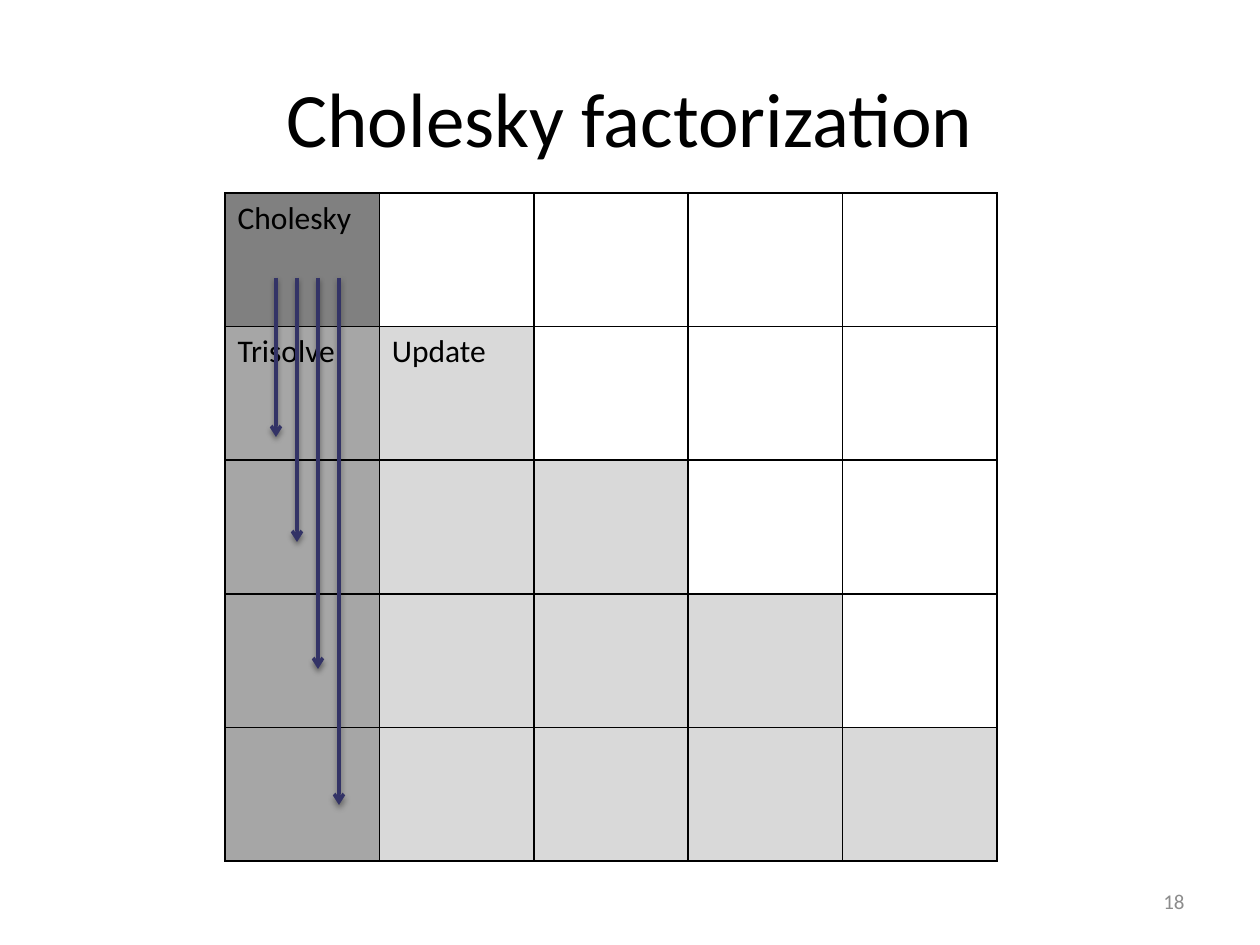
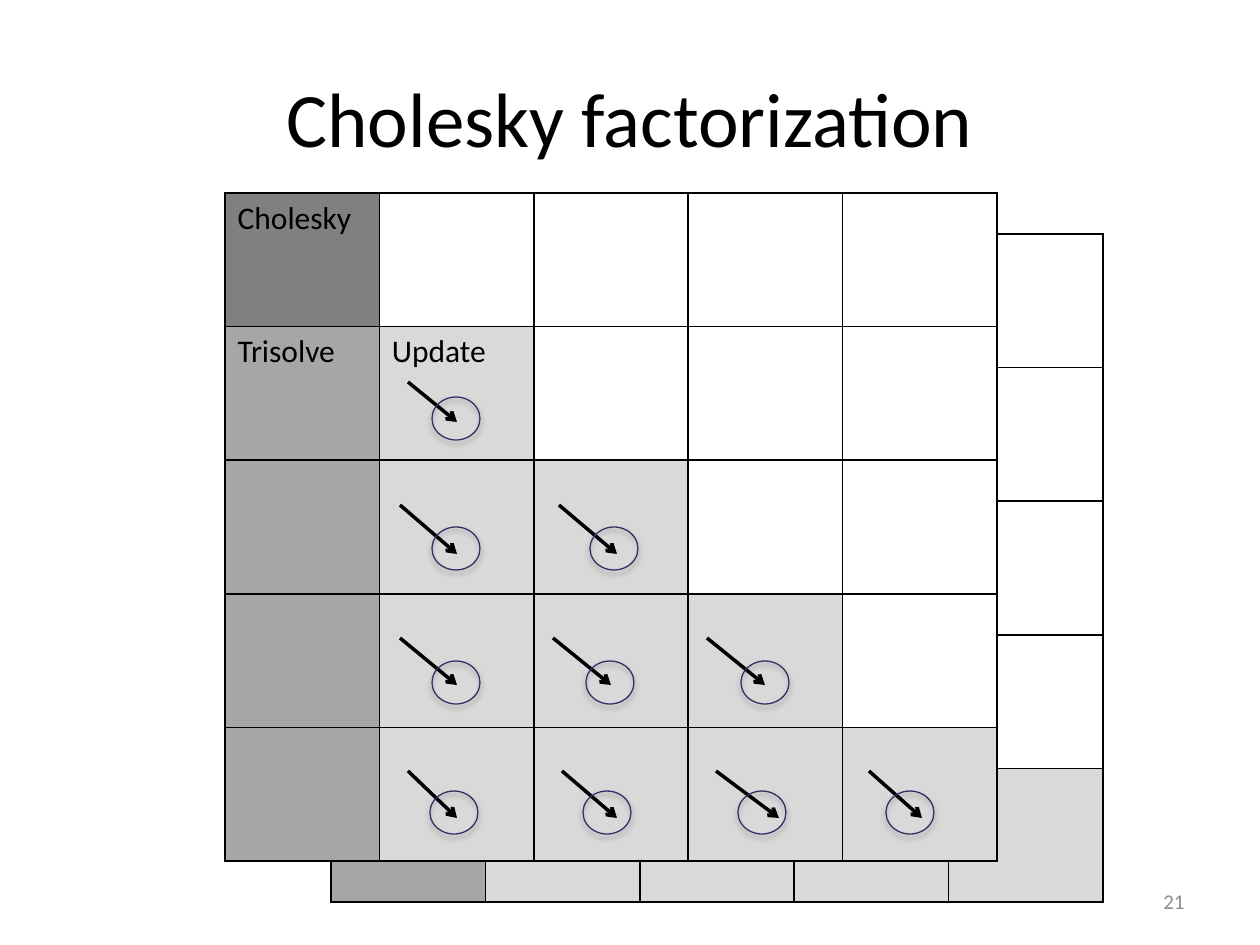
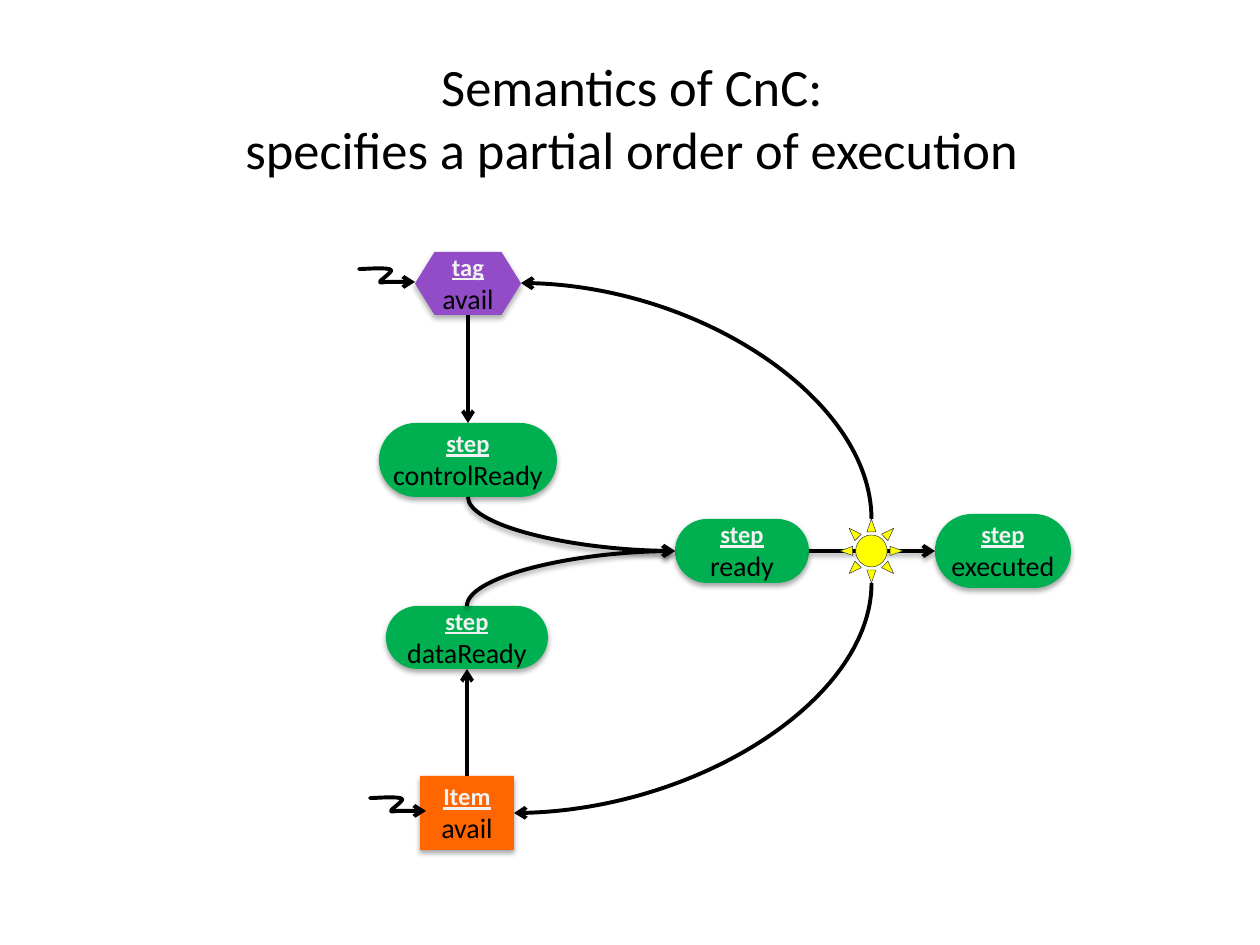
import pptx
import pptx.util
import pptx.dml.color
import pptx.enum.shapes
import pptx.enum.text
import pptx.oxml.ns
import lxml.etree

RGB = pptx.dml.color.RGBColor
SHAPE = pptx.enum.shapes.MSO_SHAPE
CONNECTOR = pptx.enum.shapes.MSO_CONNECTOR
ALIGN = pptx.enum.text.PP_ALIGN
MIDDLE = pptx.enum.text.MSO_ANCHOR.MIDDLE
Pt = pptx.util.Pt
qn = pptx.oxml.ns.qn

EMU_PER_PX = 914400 / 126
FONT = "Calibri"
BLACK = RGB(0x00, 0x00, 0x00)
WHITE = RGB(0xFF, 0xFF, 0xFF)
NUMBER_GREY = RGB(0x8C, 0x8C, 0x8C)
CHOLESKY_GREY = RGB(0x80, 0x80, 0x80)
TRISOLVE_GREY = RGB(0xA6, 0xA6, 0xA6)
UPDATE_GREY = RGB(0xD9, 0xD9, 0xD9)
ARROW_NAVY = RGB(0x33, 0x33, 0x66)
RING_NAVY = RGB(0x31, 0x31, 0x65)
SUN_NAVY = RGB(0x26, 0x26, 0x4B)
KIND_TEXT = RGB(0xF2, 0xF2, 0xF2)
STEP_GREEN = RGB(0x00, 0xB0, 0x50)
TAG_PURPLE = RGB(0x93, 0x4C, 0xC8)
ITEM_ORANGE = RGB(0xFF, 0x66, 0x00)
SUN_YELLOW = RGB(0xFF, 0xFF, 0x00)

LINE_SHADOW = (38, 3.1, 1.6)
SHAPE_SHADOW = (35, 3.1, 1.8)
TAG_SHADOW = (32, 3.5, 2.2)

TOP, LEFT, BOTTOM, RIGHT = range(4)
GRID = 5
LABELS = {(0, 0): "Cholesky", (1, 0): "Trisolve", (1, 1): "Update"}
UPDATES = [
    (382, 422, 397, [(408, 457, 432)]),
    (505, 554, 527, [(400, 457, 432), (559, 617, 590)]),
    (638, 685, 661, [(400, 457, 432), (553, 611, 586), (707, 765, 741)]),
    (771, 818, 791, [(408, 457, 430), (562, 617, 583), (716, 779, 738), (869, 922, 886)]),
]
SQUIGGLE = [
    ((-26, 0), (-31, 0), (-35, 1), (-35, 0)),
    ((-35, 0), (-35, -2), (-22, -10), (-24, -12)),
    ((-24, -12), (-27, -15), (-48, -13), (-53, -13)),
    ((-53, -13), (-58, -13), (-56, -13), (-53, -13)),
]


def px(n):
    return pptx.util.Emu(round(n * EMU_PER_PX))


def box(*lengths):
    return [px(n) for n in lengths]


def add_run(p, text, size, color, bold=False, underline=False):
    r = p.add_run()
    r.text = text
    r.font.name = FONT
    r.font.size = Pt(size)
    r.font.color.rgb = color
    r.font.bold = bold
    r.font.underline = underline


def add_text(slide, at, lines, size, color, align):
    tf = slide.shapes.add_textbox(*box(*at)).text_frame
    tf.word_wrap = True
    tf.vertical_anchor = MIDDLE
    p = tf.paragraphs[0]
    p.alignment = align
    for i, text in enumerate(lines):
        if i:
            p.add_line_break()
        add_run(p, text, size, color)


def add_title(slide, lines, size=44, left=63):
    add_text(slide, (left, 38, 1134, 158), lines, size, BLACK, ALIGN.CENTER)


def add_number(slide, number):
    add_text(slide, (903, 876, 294, 50), [number], 12, NUMBER_GREY, ALIGN.RIGHT)


def set_line(s, color, width, arrow=None):
    s.line.color.rgb = color
    s.line.width = Pt(width)
    if arrow:
        ln = s.line._get_or_add_ln()
        lxml.etree.SubElement(ln, qn("a:" + arrow), type="arrow")


def set_shadow(s, shadow=None):
    spPr = s._element.spPr
    effects = spPr.find(qn("a:effectLst"))
    if effects is None:
        effects = lxml.etree.SubElement(spPr, qn("a:effectLst"))
    if shadow:
        alpha, blur, dist = shadow
        outer = lxml.etree.SubElement(
            effects, qn("a:outerShdw"), blurRad=str(Pt(blur)), dist=str(Pt(dist)),
            dir="5400000", rotWithShape="0")
        color = lxml.etree.SubElement(outer, qn("a:srgbClr"), val="000000")
        lxml.etree.SubElement(color, qn("a:alpha"), val=str(alpha * 1000))


def add_arrow(slide, start, end, color=BLACK, width=2, shadow=None):
    c = slide.shapes.add_connector(CONNECTOR.STRAIGHT, *box(*start, *end))
    set_line(c, color, width, "tailEnd")
    set_shadow(c, shadow)
    return c


def add_arc(slide, target, source, shadow=None):
    c = slide.shapes.add_connector(CONNECTOR.CURVE, *box(*target, *source))
    c._element.spPr.find(qn("a:prstGeom")).set("prst", "curvedConnector2")
    set_line(c, BLACK, 2.25, "headEnd")
    set_shadow(c, shadow)
    return c


def add_shape(slide, kind, at, fill=None, line=None, shadow=None):
    s = slide.shapes.add_shape(kind, *box(*at))
    if fill is None:
        s.fill.background()
    else:
        s.fill.solid()
        s.fill.fore_color.rgb = fill
    if line:
        set_line(s, *line)
    else:
        s.line.fill.background()
    s.shadow.inherit = False
    set_shadow(s, shadow)
    return s


def add_node(slide, shape, at, fill, kind, state, adjust=None, shadow=SHAPE_SHADOW):
    s = add_shape(slide, shape, at, fill, shadow=shadow)
    if adjust is not None:
        s.adjustments[0] = adjust
    tf = s.text_frame
    tf.word_wrap = False
    tf.vertical_anchor = MIDDLE
    p = tf.paragraphs[0]
    p.alignment = ALIGN.CENTER
    add_run(p, kind, 14, KIND_TEXT, bold=True, underline=True)
    p = tf.add_paragraph()
    p.alignment = ALIGN.CENTER
    add_run(p, state, 16, BLACK)
    return s


def add_step(slide, at, state):
    return add_node(slide, SHAPE.ROUNDED_RECTANGLE, at, STEP_GREEN, "step", state, 0.5)


def bezier(points, steps=8):
    a, b, c, d = points
    for i in range(1, steps + 1):
        t = i / steps
        u = 1 - t
        yield tuple(u**3 * a[k] + 3 * u * u * t * b[k] + 3 * u * t * t * c[k] + t**3 * d[k]
                    for k in (0, 1))


def add_squiggle(slide, x, y):
    fine = 10
    points = [SQUIGGLE[0][0]] + [pt for curve in SQUIGGLE for pt in bezier(curve)]
    builder = slide.shapes.build_freeform(x * fine, y * fine, scale=EMU_PER_PX / fine)
    builder.add_line_segments(
        [(round((x + dx) * fine), round((y + dy) * fine)) for dx, dy in points], close=False)
    s = builder.convert_to_shape()
    s.fill.background()
    set_line(s, BLACK, 2.25, "headEnd")
    s.shadow.inherit = False


def block_color(row, col):
    if col > row:
        return WHITE
    if col:
        return UPDATE_GREY
    return TRISOLVE_GREY if row else CHOLESKY_GREY


def add_borders(cell):
    tcPr = cell._tc.get_or_add_tcPr()
    for i, side in enumerate(("a:lnL", "a:lnR", "a:lnT", "a:lnB")):
        ln = lxml.etree.Element(qn(side), w=str(Pt(1)))
        fill = lxml.etree.SubElement(ln, qn("a:solidFill"))
        lxml.etree.SubElement(fill, qn("a:srgbClr"), val=str(BLACK))
        tcPr.insert(i, ln)


def add_matrix(slide, left, top):
    width, height = 772, 668
    table = slide.shapes.add_table(GRID, GRID, *box(left, top, width, height)).table
    table.first_row = False
    table.horz_banding = False
    for i in range(GRID):
        table.columns[i].width = px(width / GRID)
        table.rows[i].height = px(height / GRID)
        for j in range(GRID):
            cell = table.cell(i, j)
            cell.fill.solid()
            cell.fill.fore_color.rgb = block_color(i, j)
            add_borders(cell)
            if (i, j) in LABELS:
                add_run(cell.text_frame.paragraphs[0], LABELS[i, j], 18, BLACK)


def build_trisolve(slide):
    add_title(slide, ["Cholesky factorization"])
    add_number(slide, "18")
    add_matrix(slide, 225, 193)
    for i, bottom in enumerate((437, 542, 669, 805)):
        x = 276 + 21 * i
        add_arrow(slide, (x, 278), (x, bottom), ARROW_NAVY, shadow=LINE_SHADOW)


def build_update(slide):
    add_matrix(slide, 331, 234)
    add_title(slide, ["Cholesky factorization"])
    add_number(slide, "21")
    add_matrix(slide, 225, 193)
    for y1, y2, ring_top, blocks in UPDATES:
        for x1, x2, ring_left in blocks:
            add_arrow(slide, (x1, y1), (x2, y2))
            add_shape(slide, SHAPE.OVAL, (ring_left, ring_top, 48, 43),
                      line=(RING_NAVY, 0.75), shadow=SHAPE_SHADOW)


def build_semantics(slide):
    add_title(slide, ["Semantics of CnC:", "specifies a partial order of execution"], 30, 65)
    item = add_node(slide, SHAPE.RECTANGLE, (420, 776, 94, 74), ITEM_ORANGE, "Item", "avail")
    control = add_step(slide, (379, 423, 178, 74), "controlReady")
    ready = add_step(slide, (675, 519, 134, 64), "ready")
    data = add_step(slide, (386, 606, 162, 63), "dataReady")
    executed = add_step(slide, (935, 514, 136, 74), "executed")
    add_node(slide, SHAPE.HEXAGON, (415, 252, 106, 63), TAG_PURPLE, "tag", "avail",
             0.31, TAG_SHADOW)

    c = add_arrow(slide, (468, 315), (468, 423), width=2.25)
    c.end_connect(control, TOP)
    c = add_arrow(slide, (467, 776), (467, 669), width=2.25)
    c.begin_connect(item, TOP)
    c.end_connect(data, BOTTOM)
    c = add_arrow(slide, (809, 551), (935, 551), width=2.25, shadow=SHAPE_SHADOW)
    c.begin_connect(ready, RIGHT)
    c.end_connect(executed, LEFT)

    for step, y, side in ((data, 606, TOP), (control, 497, BOTTOM)):
        c = add_arc(slide, (675, 551), (467, y), SHAPE_SHADOW)
        c.begin_connect(ready, LEFT)
        c.end_connect(step, side)

    sun = add_shape(slide, SHAPE.SUN, (840, 519, 63, 64), SUN_YELLOW, (SUN_NAVY, 0.25))
    c = add_arc(slide, (514, 813), (872, 583))
    c.begin_connect(item, RIGHT)
    c.end_connect(sun, BOTTOM)
    c = add_arc(slide, (521, 283), (872, 519))
    c.end_connect(sun, TOP)

    add_squiggle(slide, 415, 282)
    add_squiggle(slide, 426, 811)


def main():
    prs = pptx.Presentation()
    prs.slide_width, prs.slide_height = box(1260, 945)
    for build in (build_trisolve, build_update, build_semantics):
        build(prs.slides.add_slide(prs.slide_layouts[6]))
    prs.save("out.pptx")


if __name__ == "__main__":
    main()
